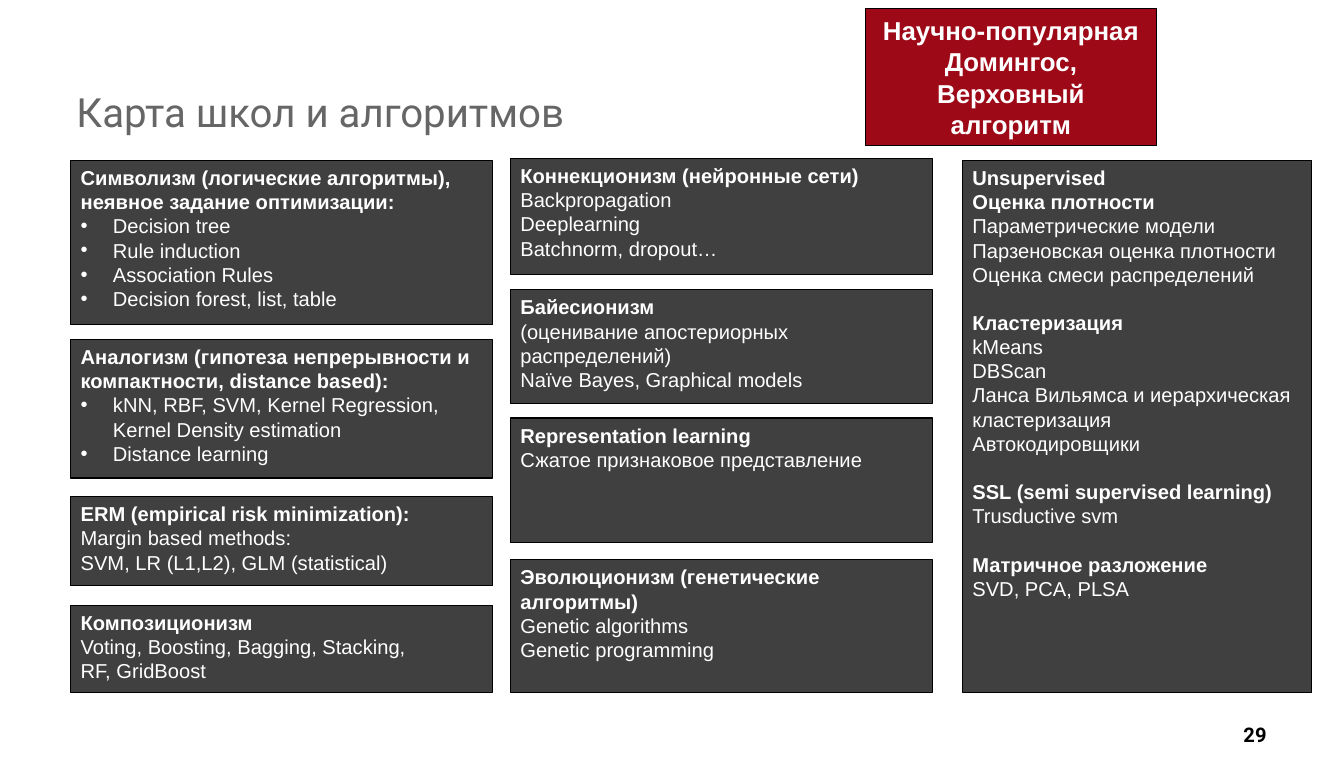
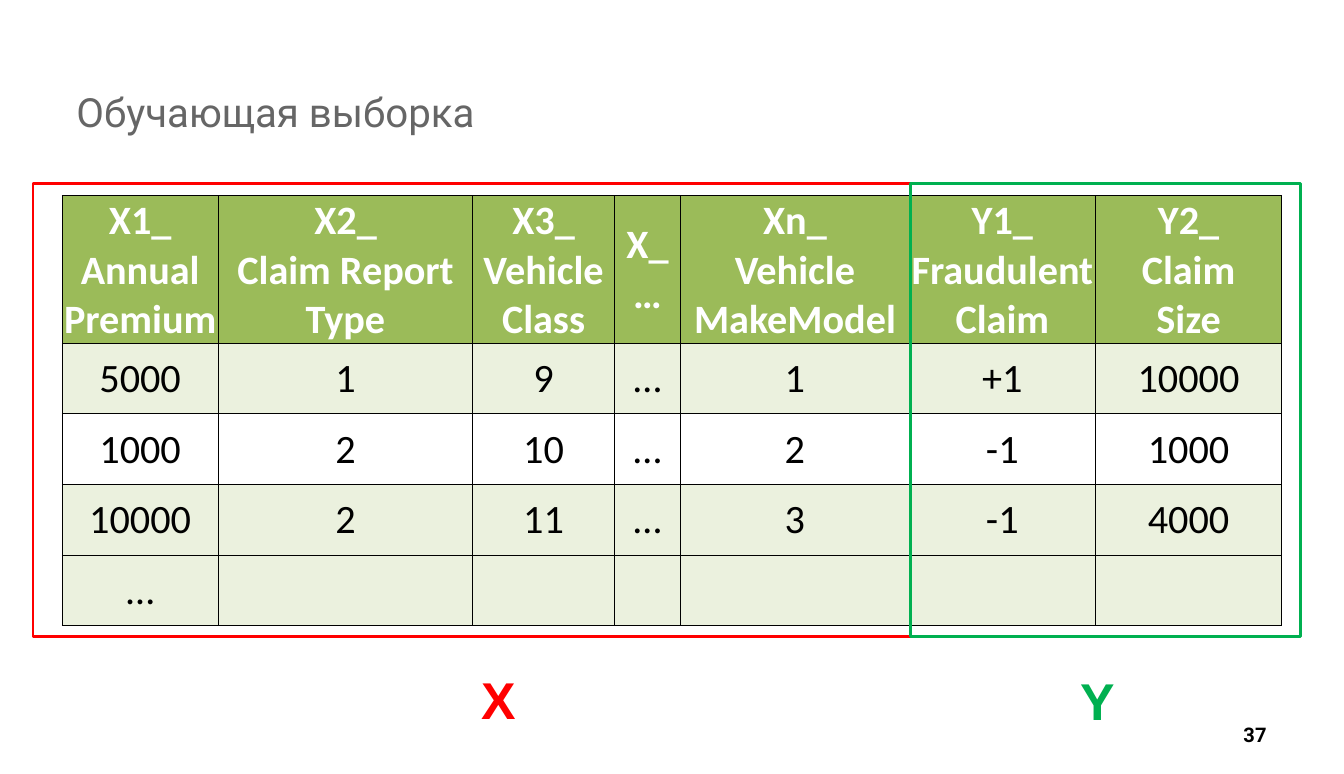
"""Build two lecture slides: a map of learning schools and a training sample."""
from dataclasses import dataclass

from lxml import etree
from pptx import Presentation
from pptx.dml.color import RGBColor
from pptx.enum import shapes, text
from pptx.oxml import ns
from pptx.util import Pt


@dataclass(frozen=True)
class Theme:
    """Colours, fonts and type sizes."""
    white: str = "FFFFFF"
    black: str = "000000"
    title: str = "666666"
    panel: str = "404040"
    accent: str = "9E0918"
    head: str = "9BBB59"
    band: str = "EBF1DE"
    red: str = "FF0000"
    green: str = "00B050"
    display: str = "Roboto"
    body: str = "Arial"
    grid: str = "Calibri"
    small: int = 14
    note: int = 18
    large: int = 28
    mark: int = 36


T = Theme()
WIDTH, HEIGHT = 935.3, 538.6

MAP_TITLE = "Карта школ и алгоритмов"
NOTE = ["Научно-популярная", "Домингос, Верховный алгоритм"]
NOTE_BOX = (602, 5.8, 203, 95.8)

COLUMNS = [
    (49, 293.8, [
        (111.6, 114.5, True, [
            (["Символизм (логические алгоритмы), неявное задание оптимизации:"],
             ["Decision tree", "Rule induction", "Association Rules",
              "Decision forest, list, table"])]),
        (236.2, 96.5, True, [
            (["Аналогизм (гипотеза непрерывности и компактности, distance based):"],
             ["kNN, RBF, SVM, Kernel Regression, Kernel Density estimation",
              "Distance learning"])]),
        (345.6, 61.9, False, [
            (["ERM (empirical risk minimization):"],
             ["Margin based methods:", "SVM, LR (L1,L2), GLM (statistical)"])]),
        (421.2, 60.5, False, [
            (["Композиционизм"],
             ["Voting, Boosting, Bagging, Stacking,", "RF, GridBoost"])]),
    ]),
    (355, 293.8, [
        (110.2, 80.6, False, [
            (["Коннекционизм (нейронные сети)"],
             ["Backpropagation", "Deeplearning", "Batchnorm, dropout…"])]),
        (201.6, 79.2, False, [
            (["Байесионизм"],
             ["(оценивание апостериорных распределений)",
              "Naïve Bayes, Graphical models"])]),
        (290.9, 86.4, False, [
            (["Representation learning"], ["Сжатое признаковое представление"])]),
        (389.5, 92.2, False, [
            (["Эволюционизм (генетические алгоритмы)"],
             ["Genetic algorithms", "Genetic programming"])]),
    ]),
    (669.6, 243.4, [
        (111.6, 370.1, False, [
            (["Unsupervised", "Оценка плотности"],
             ["Параметрические модели", "Парзеновская оценка плотности",
              "Оценка смеси распределений"]),
            (["Кластеризация"],
             ["kMeans", "DBScan", "Ланса Вильямса и иерархическая кластеризация",
              "Автокодировщики"]),
            (["SSL (semi supervised learning)"], ["Trusductive svm"]),
            (["Матричное разложение"], ["SVD, PCA, PLSA"])]),
    ]),
]

SAMPLE_TITLE = "Обучающая выборка"
SAMPLE = [
    ["X1_\nAnnual Premium", "X2_\nClaim Report Type", "X3_\nVehicle Class", "X_\n…",
     "Xn_\nVehicle MakeModel", "Y1_\nFraudulent Claim", "Y2_\nClaim\nSize"],
    ["5000", "1", "9", "…", "1", "+1", "10000"],
    ["1000", "2", "10", "…", "2", "-1", "1000"],
    ["10000", "2", "11", "…", "3", "-1", "4000"],
    ["…", "", "", "", "", "", ""],
]
ROW_FILLS = [T.head, T.band, None, T.band, T.band]
COL_WIDTHS = [108.7, 177.1, 98.6, 46.1, 159.1, 129.6, 129.6]
ROW_HEIGHTS = [102.6] + [49.2] * 4
FRAME_TOP, FRAME_HEIGHT = 127.4, 315.4
FRAMES = [
    ("X", T.red, 23, 610.6, 328.3, 460.8),
    ("Y", T.green, 633.6, 271.4, 744.5, 461.5),
]


def put(obj, **values):
    """Set each given attribute."""
    for name, value in values.items():
        setattr(obj, name, value)


def style(p, font, size, colour, bold=False, align=text.PP_ALIGN.LEFT):
    """Format a paragraph and its runs."""
    p.alignment = align
    for r in p.runs:
        put(r.font, name=font, size=Pt(size), bold=bold)
        r.font.color.rgb = RGBColor.from_string(colour)


def paragraphs(tf, lines):
    """Write lines into a text frame and return their paragraphs."""
    tf.word_wrap = True
    tf.text = "\n".join(lines)
    return tf.paragraphs


def bullet(p):
    """Give a paragraph a hanging round bullet."""
    pPr = p._p.get_or_add_pPr()
    put_attrs = {"marL": Pt(22.5), "indent": Pt(-22.5)}
    for name, value in put_attrs.items():
        pPr.set(name, str(int(value)))
    etree.SubElement(pPr, ns.qn("a:buFont"), typeface=T.body)
    etree.SubElement(pPr, ns.qn("a:buChar"), char="•")


def rect(s, box, line, weight, fill=None):
    """Add a plain rectangle."""
    sp = s.shapes.add_shape(shapes.MSO_SHAPE.RECTANGLE, *map(Pt, box))
    sp.shadow.inherit = False
    sp.line.color.rgb = RGBColor.from_string(line)
    sp.line.width = Pt(weight)
    paint(sp.fill, fill)
    return sp


def paint(fill, colour):
    """Fill with a colour, or with nothing."""
    if colour:
        fill.solid()
        fill.fore_color.rgb = RGBColor.from_string(colour)
    else:
        fill.background()


def label(s, box, words, *look, **more):
    """Add a one-line text box."""
    tf = s.shapes.add_textbox(*map(Pt, box)).text_frame
    style(paragraphs(tf, [words])[0], *look, **more)


def new_slide(prs, title, number):
    """Add a slide with its title and page number."""
    s = prs.slides.add_slide(prs.slide_layouts[5])
    sp = s.shapes.title
    put(sp, left=Pt(46), top=Pt(54.7), width=Pt(675.4), height=Pt(45.4))
    sp.text_frame.vertical_anchor = text.MSO_ANCHOR.MIDDLE
    style(paragraphs(sp.text_frame, [title])[0], T.display, T.large, T.title)
    label(s, (670.3, 499, 218.2, 28.8), str(number), T.display, T.small, T.black,
          bold=True, align=text.PP_ALIGN.RIGHT)
    return s


def panel(s, box, bulleted, groups):
    """Add a dark panel of headed groups."""
    sp = rect(s, box, T.black, 0.75, T.panel)
    sp.text_frame.vertical_anchor = text.MSO_ANCHOR.TOP
    rows = [(line, part == 0, g > 0 and part == 0 and i == 0)
            for g, group in enumerate(groups)
            for part, lines in enumerate(group)
            for i, line in enumerate(lines)]
    ps = paragraphs(sp.text_frame, [row[0] for row in rows])
    for p, (_, heading, gap) in zip(ps, rows):
        if gap:
            p.space_before = Pt(16.8)
        if bulleted and not heading:
            bullet(p)
        style(p, T.body, T.small, T.white, heading)


def school_map(prs):
    """Build the map of schools."""
    s = new_slide(prs, MAP_TITLE, 29)
    for left, width, panels in COLUMNS:
        for top, height, bulleted, groups in panels:
            panel(s, (left, top, width, height), bulleted, groups)
    sp = rect(s, NOTE_BOX, T.black, 0.75, T.accent)
    sp.text_frame.vertical_anchor = text.MSO_ANCHOR.MIDDLE
    for p in paragraphs(sp.text_frame, NOTE):
        style(p, T.body, T.note, T.white, True, text.PP_ALIGN.CENTER)


def border(cell):
    """Draw thin black lines round a cell."""
    tcPr = cell._tc.get_or_add_tcPr()
    for side in ("lnL", "lnR", "lnT", "lnB"):
        ln = etree.SubElement(tcPr, ns.qn("a:" + side), w=str(int(Pt(0.5))))
        fill = etree.SubElement(ln, ns.qn("a:solidFill"))
        etree.SubElement(fill, ns.qn("a:srgbClr"), val=T.black)


def training_sample(prs):
    """Build the table with its X and Y frames."""
    s = new_slide(prs, SAMPLE_TITLE, 37)
    table = s.shapes.add_table(
        len(SAMPLE), len(COL_WIDTHS), Pt(43.2), Pt(136.1),
        Pt(sum(COL_WIDTHS)), Pt(sum(ROW_HEIGHTS))).table
    put(table, first_row=False, horz_banding=False)
    for col, width in zip(table.columns, COL_WIDTHS):
        col.width = Pt(width)
    for r, (row, height) in enumerate(zip(table.rows, ROW_HEIGHTS)):
        row.height = Pt(height)
        for cell, words in zip(row.cells, SAMPLE[r]):
            border(cell)
            paint(cell.fill, ROW_FILLS[r])
            put(cell, text=words, vertical_anchor=text.MSO_ANCHOR.MIDDLE,
                margin_left=Pt(0.7), margin_right=Pt(0.7),
                margin_top=Pt(0.7), margin_bottom=0)
            for p in cell.text_frame.paragraphs:
                style(p, T.grid, T.large, T.black if r else T.white, r == 0,
                      text.PP_ALIGN.CENTER)
    for name, colour, left, width, x, y in FRAMES:
        rect(s, (left, FRAME_TOP, width, FRAME_HEIGHT), colour, 2)
        label(s, (x, y, 49, 51.1), name, T.body, T.mark, colour, bold=True)


def main():
    """Build and save the slides."""
    prs = Presentation()
    put(prs, slide_width=Pt(WIDTH), slide_height=Pt(HEIGHT))
    school_map(prs)
    training_sample(prs)
    prs.save("out.pptx")


if __name__ == "__main__":
    main()
